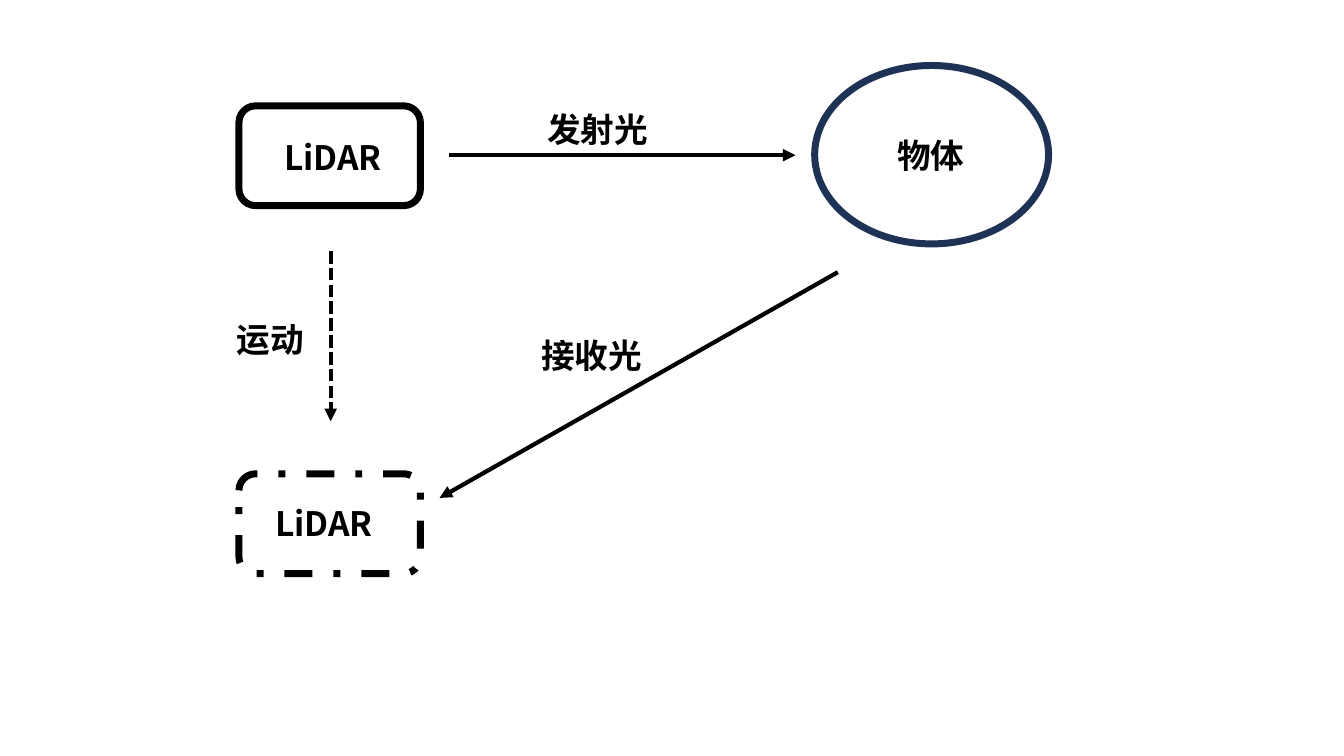
from lxml import etree
from pptx import Presentation
from pptx.dml.color import RGBColor
from pptx.enum import dml, shapes, text
from pptx.oxml import ns
from pptx.util import Inches, Pt

FONT = "Noto Sans CJK SC"
BLACK = "000000"
NAVY = "1E3256"
DASH = dml.MSO_LINE


def color(hex_code):
    return RGBColor.from_string(hex_code)


def style_line(line, hex_code, width, dash=None):
    line.color.rgb = color(hex_code)
    line.width = Pt(width)
    if dash:
        line.dash_style = dash


def add_outline(page, kind, left, top, width, height, hex_code=BLACK, dash=None):
    shape = page.shapes.add_shape(
        kind, Inches(left), Inches(top), Inches(width), Inches(height))
    shape.shadow.inherit = False
    shape.fill.background()
    style_line(shape.line, hex_code, 5, dash)


def add_arrow(page, start, end, dash=None):
    arrow = page.shapes.add_connector(
        shapes.MSO_CONNECTOR.STRAIGHT, *map(Inches, start + end))
    style_line(arrow.line, BLACK, 3, dash)
    # Arrowhead at the end, no shadow
    etree.SubElement(arrow.line._get_or_add_ln(), ns.qn("a:tailEnd"), type="triangle")
    etree.SubElement(arrow._element.spPr, ns.qn("a:effectLst"))


def add_label(page, wording, left, top):
    box = page.shapes.add_textbox(
        Inches(left), Inches(top), Inches(1.46), Inches(0.5))
    frame = box.text_frame
    frame.word_wrap = True
    frame.auto_size = text.MSO_AUTO_SIZE.SHAPE_TO_FIT_TEXT
    frame.text = wording
    span = frame.paragraphs[0].runs[0]
    span.font.name = FONT
    span.font.size = Pt(24)
    span.font.bold = True
    span.font.color.rgb = color(BLACK)
    # Same font for Chinese characters
    etree.SubElement(span.font._element, ns.qn("a:ea"), typeface=FONT)


def main():
    deck = Presentation()
    deck.slide_width, deck.slide_height = Inches(13.33), Inches(7.5)
    page = deck.slides.add_slide(deck.slide_layouts[6])

    # Sensor before and after moving, and the object
    for top, dash in ((1.05, None), (4.7, DASH.DASH_DOT)):
        add_outline(page, shapes.MSO_SHAPE.ROUNDED_RECTANGLE,
                    2.37, top, 1.8, 0.99, dash=dash)
    add_outline(page, shapes.MSO_SHAPE.OVAL, 8.08, 0.65, 2.32, 1.77, NAVY)

    # Emitted light, received light, movement
    add_arrow(page, (4.45, 1.54), (7.89, 1.54))
    add_arrow(page, (8.31, 2.7), (4.36, 4.94))
    add_arrow(page, (3.28, 2.49), (3.28, 4.18), DASH.SQUARE_DOT)

    # Labels
    for wording, left, top in (
        ("LiDAR", 2.72, 1.31),
        ("LiDAR", 2.63, 4.94),
        ("物体", 8.8, 1.29),
        ("发射光", 5.33, 1.03),
        ("接收光", 5.27, 3.27),
        ("运动", 2.25, 3.11),
    ):
        add_label(page, wording, left, top)

    deck.save("out.pptx")


if __name__ == "__main__":
    main()
